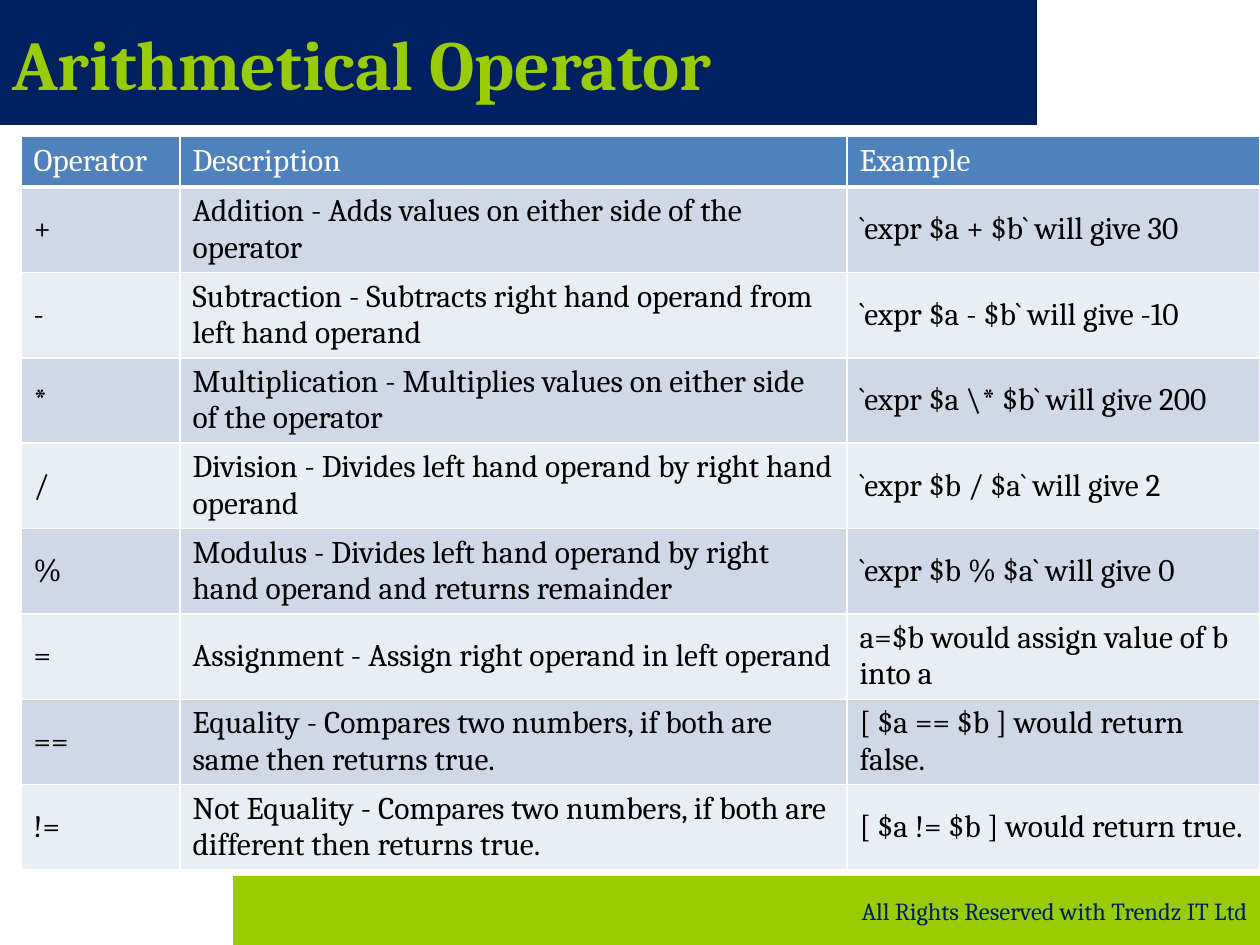
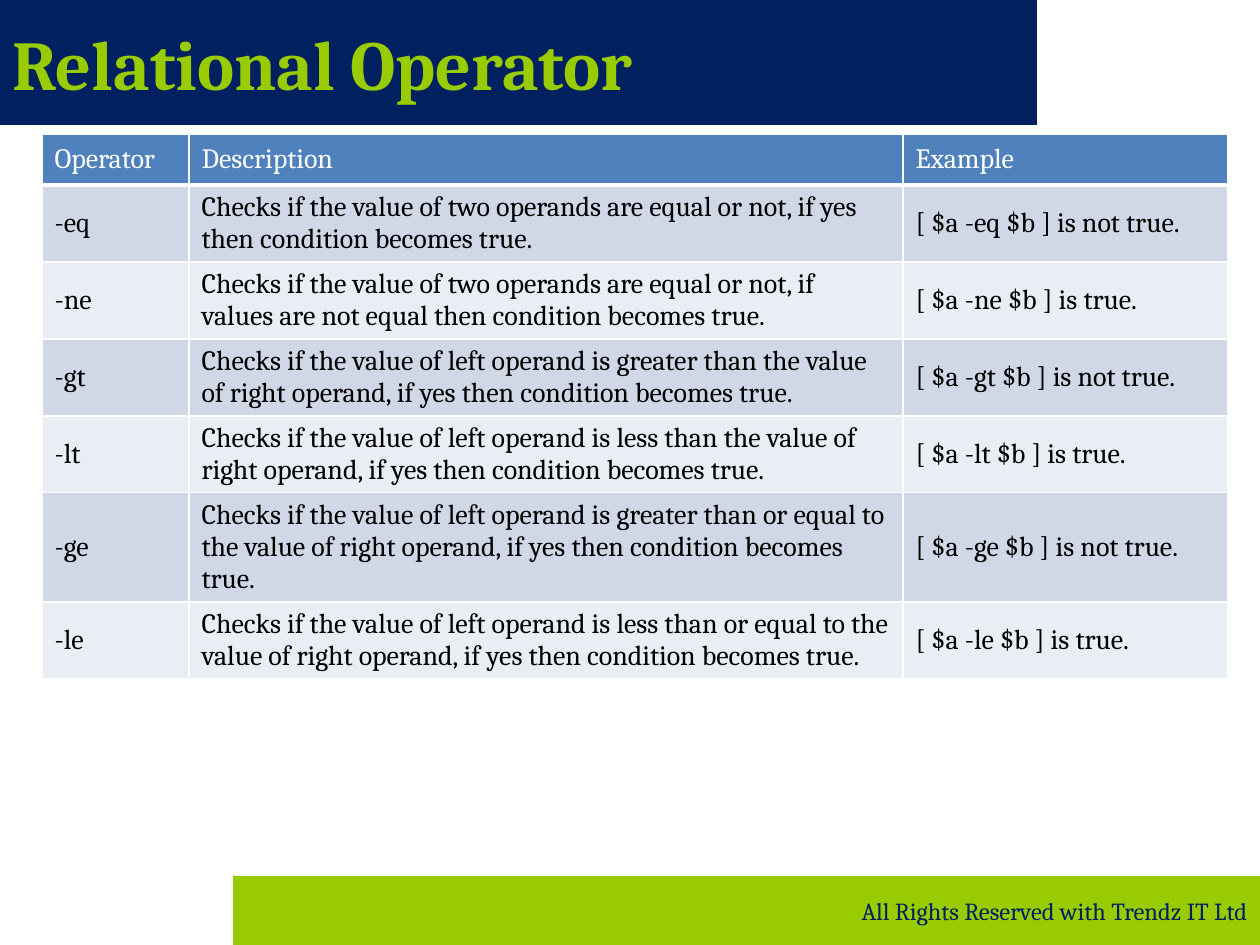
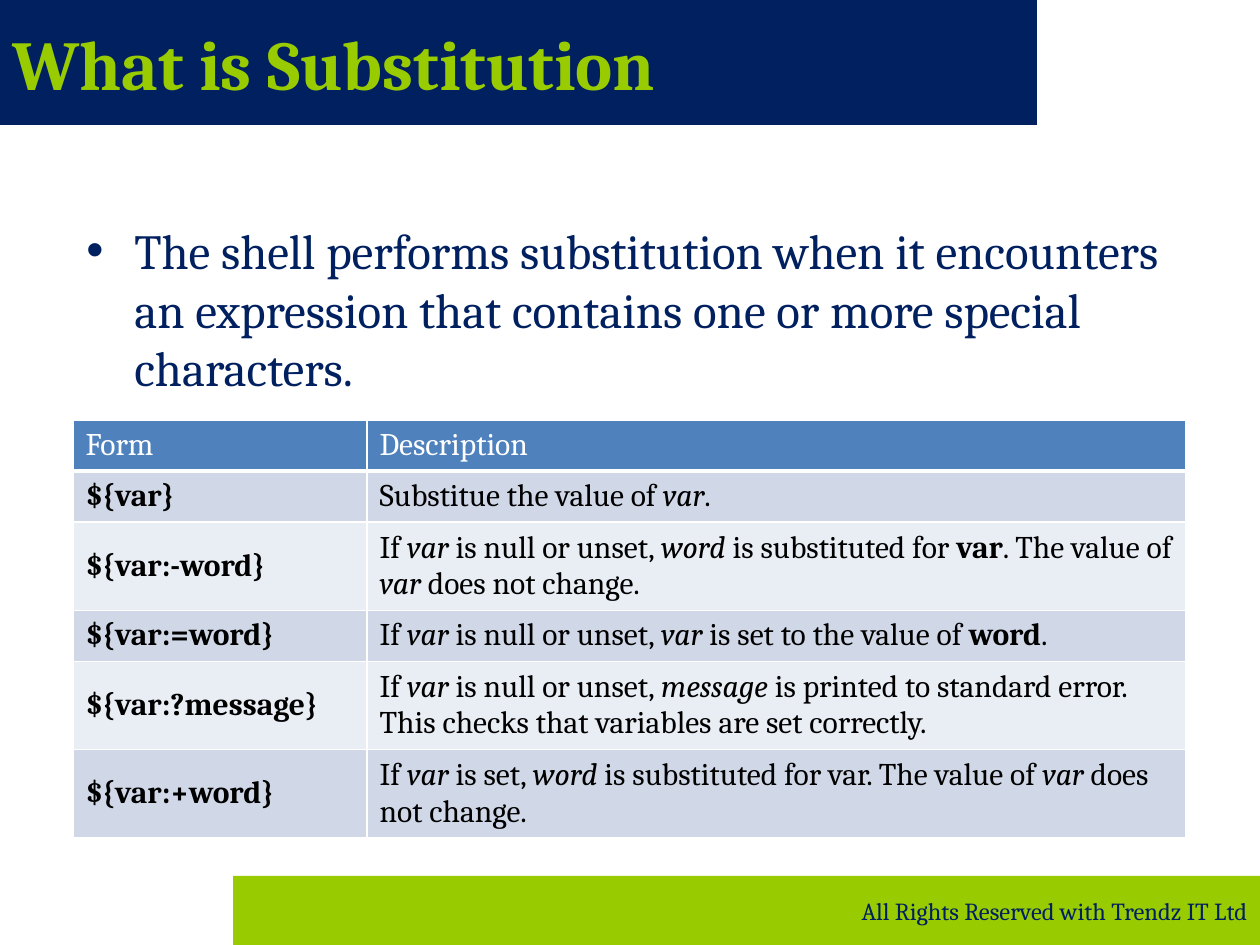
from lxml.etree import SubElement
from pptx import Presentation
from pptx.dml.color import RGBColor
from pptx.enum.shapes import MSO_SHAPE as SHAPE
from pptx.enum.text import MSO_ANCHOR as ANCHOR, PP_ALIGN as ALIGN
from pptx.oxml.ns import qn
from pptx.util import Emu, Pt

SCALE = 914400 / 126  # EMU in one px
FONT = "Cambria"
COLORS = {
    "navy": "002060",
    "lime": "99CC00",
    "header": "4F81BD",
    "odd": "D0D8E8",
    "even": "E9EDF4",
    "white": "FFFFFF",
    "black": "000000",
}
TITLE_BAND = (0, 0, 1037, 125)
FOOTER_BAND = (233, 876, 1027, 69)
ROW_HEIGHT = 51

TITLE_STYLE = {"size": Pt(40), "bold": True}
FOOTER_STYLE = {"size": Pt(14)}
BODY_STYLE = {"size": Pt(28)}

ARITHMETIC = [
    ("Operator", "Description", "Example"),
    ("+", "Addition - Adds values on either side of the operator",
     "`expr $a + $b` will give 30"),
    ("-", "Subtraction - Subtracts right hand operand from left hand operand",
     "`expr $a - $b` will give -10"),
    ("*", "Multiplication - Multiplies values on either side of the operator",
     "`expr $a \\* $b` will give 200"),
    ("/", "Division - Divides left hand operand by right hand operand",
     "`expr $b / $a` will give 2"),
    ("%", "Modulus - Divides left hand operand by right hand operand and returns remainder",
     "`expr $b % $a` will give 0"),
    ("=", "Assignment - Assign right operand in left operand",
     "a=$b would assign value of b into a"),
    ("==", "Equality - Compares two numbers, if both are same then returns true.",
     "[ $a == $b ] would return false."),
    ("!=", "Not Equality - Compares two numbers, if both are different then returns true.",
     "[ $a != $b ] would return true."),
]

# Operator, what is checked, condition that holds, result
COMPARISONS = [
    ("-eq", "two operands are equal or not", "yes", "not true"),
    ("-ne", "two operands are equal or not", "values are not equal", "true"),
    ("-gt", "left operand is greater than the value of right operand", "yes", "not true"),
    ("-lt", "left operand is less than the value of right operand", "yes", "true"),
    ("-ge", "left operand is greater than or equal to the value of right operand",
     "yes", "not true"),
    ("-le", "left operand is less than or equal to the value of right operand",
     "yes", "true"),
]
RELATIONAL = [("Operator", "Description", "Example")] + [
    (sign, f"Checks if the value of {check}, if {case} then condition becomes true.",
     f"[ $a {sign} $b ] is {result}.")
    for sign, check, case, result in COMPARISONS
]


def italic(text):
    return text, {"italic": True}


def bold(text):
    return text, {"bold": True}


VAR, WORD = italic("var"), italic("word")
SUBSTITUTION = [
    ("Form", "Description"),
    ([bold("${var}")], ["Substitue the value of ", VAR, "."]),
    ([bold("${var:-word}")],
     ["If ", VAR, " is null or unset, ", WORD, " is substituted for ", bold("var"),
      ". The value of ", VAR, " does not change."]),
    ([bold("${var:=word}")],
     ["If ", VAR, " is null or unset, ", VAR, " is set to the value of ",
      bold("word"), "."]),
    ([bold("${var:?message}")],
     ["If ", VAR, " is null or unset, ", italic("message"),
      " is printed to standard error. This checks that variables are set correctly."]),
    ([bold("${var:+word}")],
     ["If ", VAR, " is set, ", WORD, " is substituted for var. The value of ", VAR,
      " does not change."]),
]


def px(length):
    return Emu(round(length * SCALE))


def rgb(name):
    return RGBColor.from_string(COLORS[name])


def paint(target, color):
    target.fill.solid()
    target.fill.fore_color.rgb = rgb(color)


def write(para, pieces, color, style):
    """Add a plain string, or a list of strings and (text, style) pairs."""
    for piece in [pieces] if isinstance(pieces, str) else pieces:
        text, extra = (piece, {}) if isinstance(piece, str) else piece
        span = para.add_run()
        span.text = text
        span.font.color.rgb = rgb(color)
        for key, value in {"name": FONT, **style, **extra}.items():
            setattr(span.font, key, value)


def add_band(page, box, fill, text, color, style, align):
    band = page.shapes.add_shape(SHAPE.RECTANGLE, *map(px, box))
    band.shadow.inherit = False
    paint(band, fill)
    band.line.fill.background()
    frame = band.text_frame
    frame.word_wrap = True
    frame.vertical_anchor = ANCHOR.MIDDLE
    para = frame.paragraphs[0]
    para.alignment = align
    write(para, text, color, style)


def add_page(deck, title):
    page = deck.slides.add_slide(deck.slide_layouts[6])
    add_band(page, TITLE_BAND, "navy", title, "lime", TITLE_STYLE, ALIGN.LEFT)
    add_band(page, FOOTER_BAND, "lime", "All Rights Reserved with Trendz IT Ltd",
             "navy", FOOTER_STYLE, ALIGN.RIGHT)
    return page


def add_borders(cell, bottom):
    props = cell._tc.get_or_add_tcPr()
    for side, width in (("L", 1), ("R", 1), ("T", 1), ("B", bottom)):
        line = SubElement(props, qn(f"a:ln{side}"), w=str(Pt(width)))
        fill = SubElement(line, qn("a:solidFill"))
        SubElement(fill, qn("a:srgbClr"), val=COLORS["white"])


def add_grid(page, left, top, height, widths, rows, size):
    box = (left, top, sum(widths), height)
    frame = page.shapes.add_table(len(rows), len(widths), *map(px, box))
    table = frame.table
    for column, width in zip(table.columns, widths):
        column.width = px(width)
    for index, texts in enumerate(rows):
        # Rows start at one line and grow with their text
        table.rows[index].height = px(ROW_HEIGHT)
        is_header = index == 0
        fill = "header" if is_header else "odd" if index % 2 else "even"
        for cell, text in zip(table.rows[index].cells, texts):
            add_borders(cell, 3 if is_header else 1)
            paint(cell, fill)
            cell.vertical_anchor = ANCHOR.MIDDLE
            write(cell.text_frame.paragraphs[0], text,
                  "white" if is_header else "black",
                  {"size": Pt(size), "bold": False})
    frame.height = px(height)


def add_bullet(page, box, text):
    frame = page.shapes.add_textbox(*map(px, box)).text_frame
    frame.word_wrap = True
    para = frame.paragraphs[0]
    props = para._p.get_or_add_pPr()
    props.set("marL", str(px(48)))
    props.set("indent", str(-px(48)))
    SubElement(props, qn("a:buFont"), typeface="Arial")
    SubElement(props, qn("a:buChar"), char="•")
    write(para, text, "navy", BODY_STYLE)


def main():
    deck = Presentation()
    deck.slide_width, deck.slide_height = px(1260), px(945)

    # Arithmetical operators
    page = add_page(deck, "Arithmetical Operator")
    add_grid(page, 21, 136, 757, (159, 667, 413), ARITHMETIC, 18)

    # Relational operators
    page = add_page(deck, "Relational Operator")
    add_grid(page, 42, 134, 631, (147, 714, 325), RELATIONAL, 16)

    # Substitution
    page = add_page(deck, "What is Substitution")
    add_bullet(page, (74, 214, 1134, 195),
               "The shell performs substitution when it encounters an expression "
               "that contains one or more special characters.")
    add_grid(page, 73, 420, 418, (294, 819), SUBSTITUTION, 18)

    deck.save("out.pptx")


if __name__ == "__main__":
    main()
